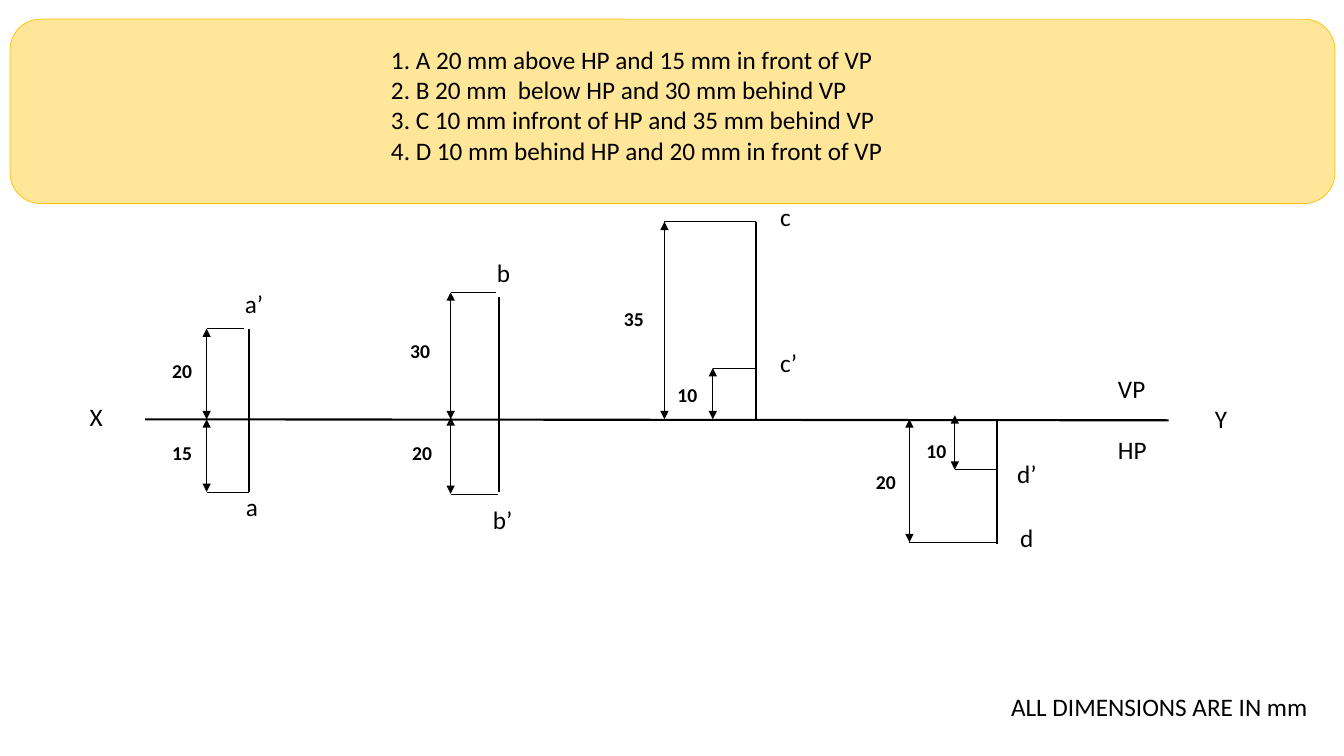
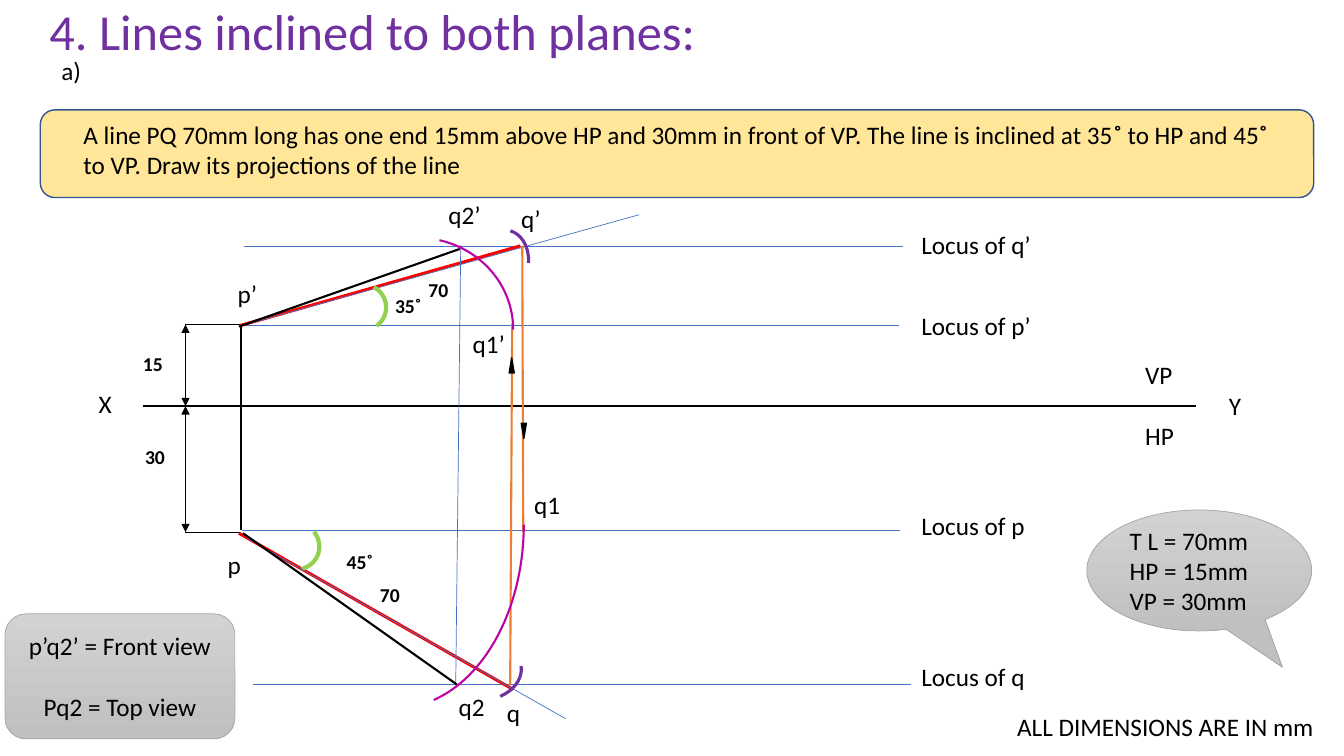
from dataclasses import dataclass
from typing import Any

from pptx import Presentation
from pptx.dml.color import RGBColor
from pptx.enum.shapes import MSO_CONNECTOR as Connector, MSO_SHAPE as Shape
from pptx.enum.text import MSO_ANCHOR as Anchor, MSO_AUTO_SIZE as AutoSize, PP_ALIGN as Align
from pptx.oxml.ns import qn
from pptx.util import Inches, Pt
from lxml.etree import SubElement


@dataclass(frozen=True)
class Theme:
    font: str = "Calibri"
    title: int = 36
    body: int = 18
    value: int = 14
    line_gap: int = 22
    hair: float = 0.5
    fine: float = 1
    medium: float = 1.5
    heavy: float = 2.25
    thick: float = 3
    black: str = "000000"
    white: str = "FFFFFF"
    purple: str = "7030A0"
    band: str = "FFE699"
    gold: str = "FFC000"
    navy: str = "325491"
    blue: str = "4472C4"
    red: str = "FF0000"
    orange: str = "ED7D31"
    green: str = "92D050"
    magenta: str = "BD03A7"
    grey_top: str = "D2D2D2"
    grey_bottom: str = "C0C0C0"
    grey_edge: str = "A5A5A5"


THEME = Theme()


def rgb(code):
    return RGBColor.from_string(code)


def style(paragraph, size=THEME.body, color=THEME.black, bold=False):
    font = paragraph.font
    font.name, font.size, font.bold = THEME.font, Pt(size), bold
    font.color.rgb = rgb(color)


@dataclass
class Region:
    slide: Any
    left: float
    top: float

    def box(self, x, y, width, height):
        return [Inches(n) for n in (self.left + x, self.top + y, width, height)]

    def line(self, start, end, color=THEME.black, width=THEME.medium, arrows=False):
        x1, y1, x2, y2 = self.box(*start, 0, 0)[:2] + self.box(*end, 0, 0)[:2]
        connector = self.slide.shapes.add_connector(Connector.STRAIGHT, x1, y1, x2, y2)
        connector.line.color.rgb = rgb(color)
        connector.line.width = Pt(width)
        SubElement(connector._element.spPr, qn("a:effectLst"))
        if arrows:
            for end_tag in ("a:headEnd", "a:tailEnd"):
                SubElement(connector.line._get_or_add_ln(), qn(end_tag), type="triangle")

    def shape(self, kind, box, fill, edge, width, rotation=0):
        shape = self.slide.shapes.add_shape(kind, *self.box(*box))
        shape.shadow.inherit = False
        shape.rotation = rotation
        if fill:
            shape.fill.solid()
            shape.fill.fore_color.rgb = rgb(fill)
        else:
            shape.fill.background()
        shape.line.color.rgb = rgb(edge)
        shape.line.width = Pt(width)
        return shape

    def arc(self, box, start, end, color, width, rotation=0, fill=None):
        arc = self.shape(Shape.ARC, box, fill, color, width, rotation)
        for i, degrees in enumerate((start, end)):
            arc.adjustments[i] = degrees * 0.6

    def text(self, x, y, lines, width=0.6, size=THEME.body, bold=False, gap=0):
        height = 0.1 + len(lines) * size / 60
        frame = self.slide.shapes.add_textbox(*self.box(x, y, width, height)).text_frame
        frame.word_wrap = True
        write(frame, lines, size=size, bold=bold, gap=gap)
        return frame

    def label(self, x, y, text, width=0.6):
        self.text(x, y, [text], width)

    def value(self, x, y, text):
        self.text(x, y, [text], size=THEME.value, bold=True)


def write(frame, lines, size=THEME.body, bold=False, gap=0, align=Align.LEFT):
    for i, content in enumerate(lines):
        paragraph = frame.paragraphs[0] if i == 0 else frame.add_paragraph()
        paragraph.text = content
        paragraph.alignment = align
        if i:
            paragraph.space_before = Pt(gap)
        style(paragraph, size, bold=bold)


def grey_note(slide, kind, box, lines, gap=0, align=Align.LEFT):
    note = Region(slide, 0, 0).shape(kind, box, None, THEME.grey_edge, THEME.hair)
    note.fill.gradient()
    note.fill.gradient_angle = 270
    for stop, color in zip(note.fill.gradient_stops, (THEME.grey_top, THEME.grey_bottom)):
        stop.color.rgb = rgb(color)
    note.text_frame.vertical_anchor = Anchor.MIDDLE
    write(note.text_frame, lines, gap=gap, align=align)
    return note


def units_note(slide, x, y):
    Region(slide, x, y).label(0, 0, "ALL DIMENSIONS ARE IN mm", 3.5)


def reference_line(region, length, drop, x_at, y_gap):
    region.line((0, 0), (length, drop))
    region.label(x_at, -0.23, "X")
    region.label(length + y_gap, -0.21, "Y")
    region.text(length - 0.6, -0.51, ["VP", "HP"], 0.63, gap=THEME.line_gap)


def dimension(region, x, far, reach, value, value_at, near=0):
    region.line((x, far), (reach, far), width=THEME.hair)
    region.line((x, near), (x, far), width=THEME.hair, arrows=True)
    region.value(*value_at, value)


def point_projections(region):
    reference_line(region, 10.15, 0.01, -0.65, 0.36)
    for x, start, end in (
        (1.03, -0.9, 0.72),
        (3.51, -1.21, 0.72),
        (6.06, -1.96, 0),
        (8.45, 0.01, 1.24),
    ):
        region.line((x, start), (x, end))
    for measure in (
        (0.61, -0.9, 0.98, "20", (0.17, -0.65)),
        (0.61, 0.72, 1.03, "15", (0.17, 0.16)),
        (3.03, -1.26, 3.48, "30", (2.53, -0.85)),
        (3.03, 0.74, 3.5, "20", (2.55, 0.16), -0.02),
        (5.15, -1.96, 6.06, "35", (4.65, -1.16)),
        (5.63, -0.51, 6.06, "10", (5.18, -0.41)),
        (8.03, 0.5, 8.45, "10", (7.65, 0.14), -0.04),
        (7.58, 1.22, 8.45, "20", (7.15, 0.45)),
    ):
        dimension(region, *measure)
    for x, y, name in (
        (0.89, -1.35, "a’"), (0.9, 0.67, "a"),
        (3.39, -1.66, "b"), (3.35, 0.79, "b’"),
        (6.2, -2.21, "c"), (6.2, -0.76, "c’"),
        (8.55, 0.34, "d’"), (8.58, 0.97, "d"),
    ):
        region.label(x, y, name)


def line_projections(region):
    reference_line(region, 10.44, 0, -0.54, 0.23)
    region.line((0.97, -0.81), (0.97, 1.23))
    dimension(region, 0.42, -0.81, 0.97, "15", (-0.1, -0.59))
    dimension(region, 0.42, 1.25, 0.96, "30", (-0.08, 0.33))
    for start, end, y, label_y, point in (
        (0.96, 7.5, -0.8, -1, "p’"),
        (0.98, 7.51, 1.23, 0.98, "p"),
        (1, 7.54, -1.59, -1.8, "q’"),
        (1.09, 7.62, 2.76, 2.48, "q"),
    ):
        region.line((start, y), (end, y), THEME.blue, THEME.hair)
        region.label(7.62, label_y, f"Locus of {point}", 1.5)

    region.line((0.95, 1.26), (3.67, 2.81), THEME.red, THEME.heavy)
    region.arc((1.23, 1.14, 0.52, 0.48), 304.2, 47.92, THEME.green, THEME.thick, 22, THEME.white)
    for start, end, color, width in (
        ((0.96, -0.8), (3.74, -1.59), THEME.red, THEME.heavy),
        ((3.15, -1.6), (3.1, 2.77), THEME.blue, THEME.hair),
        ((0.98, -0.8), (4.92, -1.9), THEME.blue, THEME.hair),
        ((1.03, 1.31), (4.19, 3.1), THEME.blue, THEME.hair),
        ((3.66, -0.82), (3.64, 2.77), THEME.orange, THEME.medium),
        ((3.76, -1.59), (3.77, 1.25), THEME.orange, THEME.medium),
        ((0.99, 1.26), (3.11, 2.76), THEME.black, THEME.medium),
        ((0.95, -0.79), (3.14, -1.56), THEME.black, THEME.medium),
    ):
        region.line(start, end, color, width)

    for box, start, end, color, width, rotation in (
        ((1.89, -1.22, 0.52, 0.48), 304.2, 47.92, THEME.green, THEME.thick, 0),
        ((3.16, 2.31, 0.52, 0.67), 273.2, 347.42, THEME.purple, THEME.heavy, 75.1),
        ((3.3, -1.75, 0.52, 0.67), 273.2, 347.42, THEME.purple, THEME.heavy, 10.9),
        ((1.78, -1.67, 1.89, 1.82), 283.56, 0, THEME.magenta, THEME.medium, 0),
        ((0.69, -0.09, 3.64, 2.53), 270, 347.9, THEME.magenta, THEME.medium, 90),
    ):
        region.arc(box, start, end, color, width, rotation)
    for x, y, rotation in ((3.63, -0.48, 0), (3.75, 0.17, 180)):
        region.shape(Shape.ISOSCELES_TRIANGLE, (x, y, 0.05, 0.15),
                     THEME.black, THEME.black, THEME.fine, rotation)

    for x, y, name in (
        (0.84, -1.32, "p’"), (0.74, 1.37, "p"),
        (3.17, -0.82, "q1’"), (3.78, 0.78, "q1"),
        (3.65, -2.06, "q’"), (3.51, 2.84, "q"),
        (2.93, -2.1, "q2’"), (3.03, 2.78, "q2"),
    ):
        region.label(x, y, name)
    for x, y, value in (
        (1.92, 1.38, "45˚"), (2.4, -1.16, "35˚"),
        (2.73, -1.32, "70"), (2.25, 1.7, "70"),
    ):
        region.value(x, y, value)


def question_band(slide, box, edge, width):
    band = Region(slide, box[0], box[1])
    band.shape(Shape.ROUNDED_RECTANGLE, (0, 0, *box[2:]), THEME.band, edge, width)
    return band


def points_slide(deck):
    slide = deck.slides.add_slide(deck.slide_layouts[6])
    band = question_band(slide, (0.1, 0.19, 13.14, 1.83), THEME.gold, THEME.hair)
    band.text(3.68, 0.2, [
        "1. A 20 mm above HP and 15 mm in front of VP",
        "2. B 20 mm  below HP and 30 mm behind VP",
        "3. C 10 mm infront of HP and 35 mm behind VP",
        "4. D 10 mm behind HP and 20 mm in front of VP",
    ], 5.97)
    point_projections(Region(slide, 1.44, 4.16))
    units_note(slide, 9.93, 6.81)


def inclined_line_slide(deck):
    slide = deck.slides.add_slide(deck.slide_layouts[5])
    title = slide.shapes.title
    title.left, title.top, title.width, title.height = Region(slide, 0, 0).box(0.39, -0.05, 9.77, 0.71)
    title.text_frame.text = "4. Lines inclined to both planes:"
    title.text_frame.auto_size = AutoSize.NONE
    heading = title.text_frame.paragraphs[0]
    heading.alignment = Align.LEFT
    style(heading, THEME.title, THEME.purple)
    Region(slide, 0.51, 0.5).label(0, 0, "a)")

    band = question_band(slide, (0.4, 1.09, 12.63, 0.87), THEME.navy, THEME.fine)
    question = band.text(0.33, 0.04, ["", "to VP. Draw its projections of the line"], 12.2)
    for part, bold in (
        ("A line PQ 70mm long has one end 15mm above HP and 30mm in front of VP. "
         "The line is inclined at 35", False),
        ("˚ ", True), ("to HP and 45", False), ("˚", True),
    ):
        run = question.paragraphs[0].add_run()
        run.text = part
        run.font.bold = bold

    line_projections(Region(slide, 1.42, 4.03))
    units_note(slide, 9.99, 7.01)
    callout = grey_note(slide, Shape.OVAL_CALLOUT, (10.78, 5.06, 2.23, 1.2),
                        ["T L = 70mm", "HP = 15mm", "VP = 30mm"])
    callout.adjustments[0], callout.adjustments[1] = 0.37, 0.8
    grey_note(slide, Shape.ROUNDED_RECTANGLE, (0.05, 6.09, 2.28, 1.24),
              ["p’q2’ = Front view", "Pq2 = Top view"], THEME.line_gap, Align.CENTER)


def main():
    deck = Presentation()
    deck.slide_width, deck.slide_height = Inches(13.33), Inches(7.5)
    points_slide(deck)
    inclined_line_slide(deck)
    deck.save("out.pptx")


if __name__ == "__main__":
    main()
